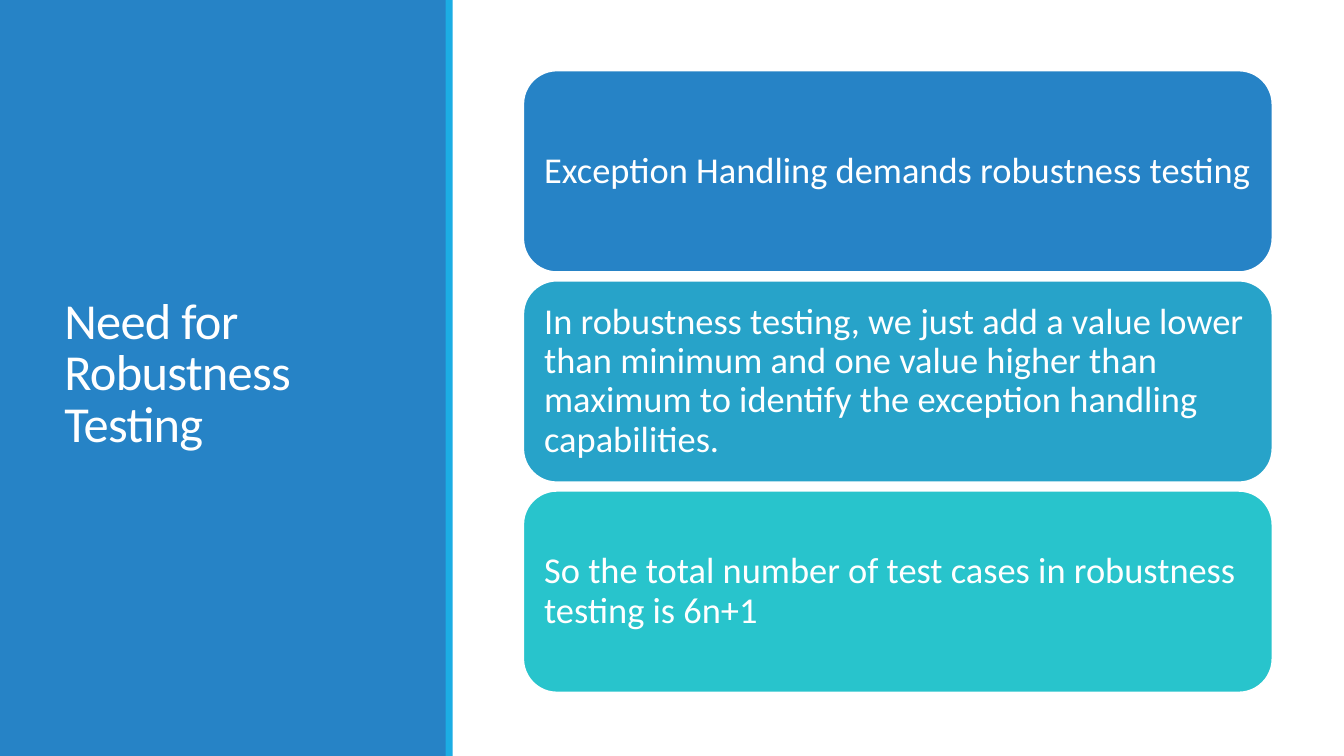
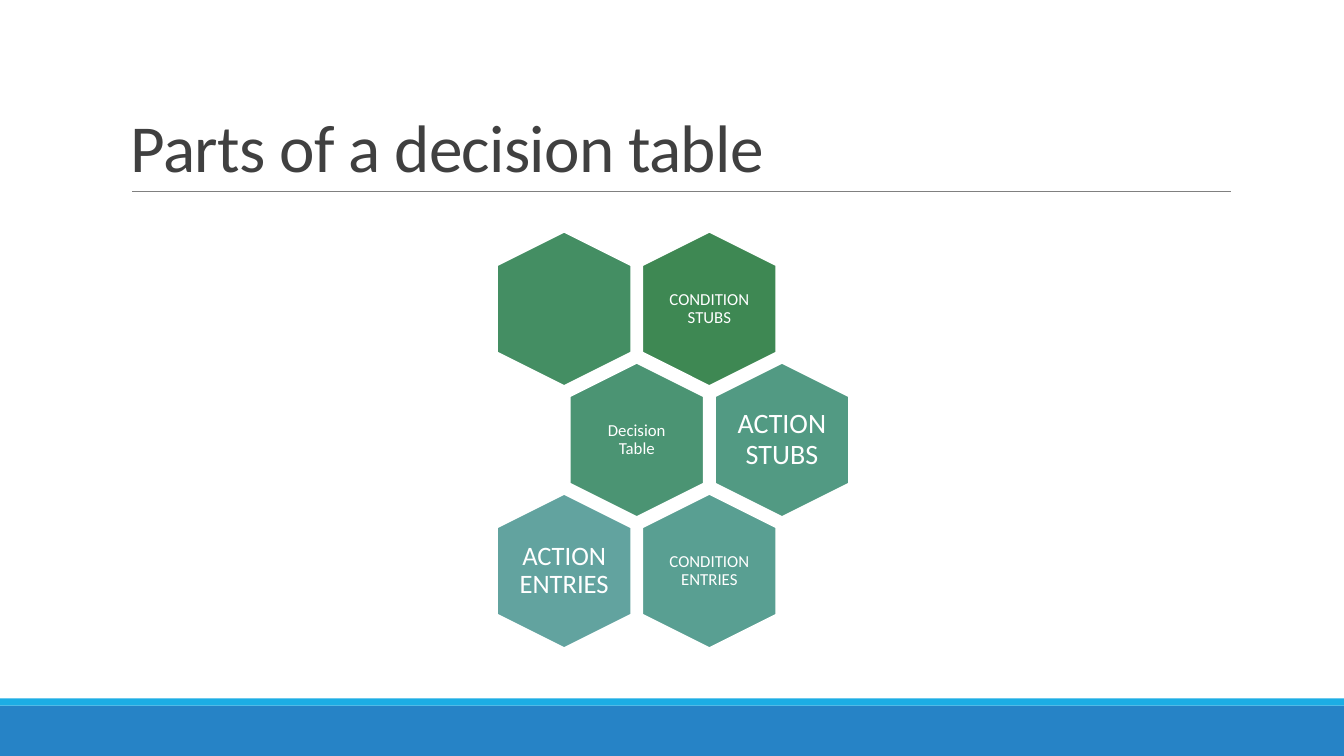
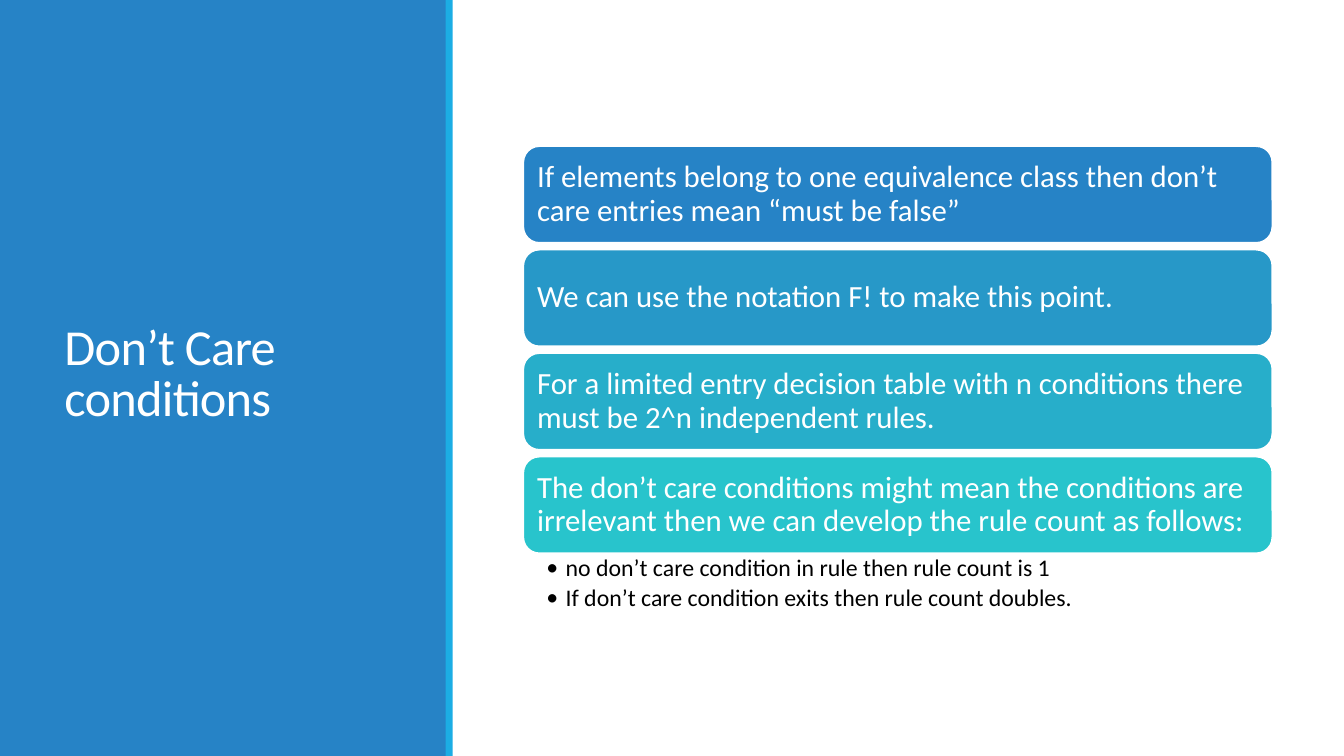
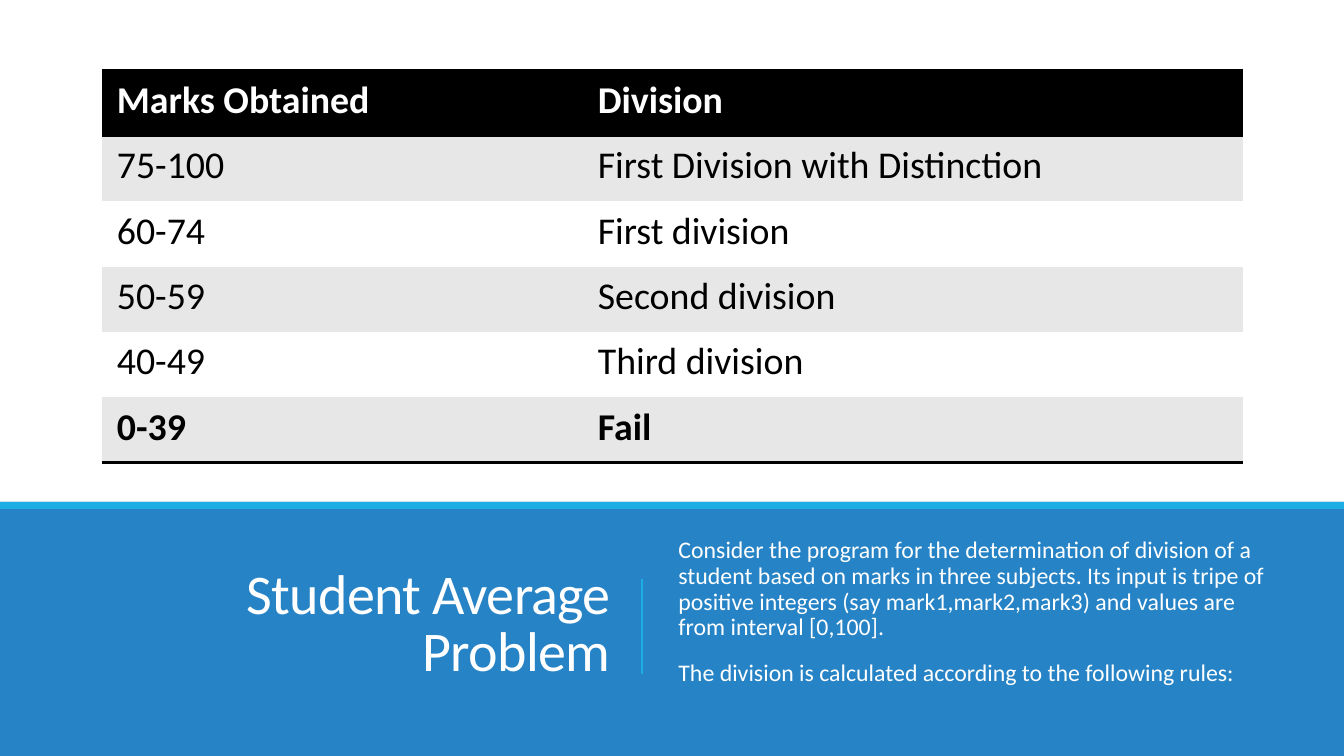
from dataclasses import dataclass

from lxml.etree import SubElement
from pptx import Presentation
from pptx.dml.color import RGBColor
from pptx.enum.shapes import MSO_CONNECTOR, MSO_SHAPE
from pptx.enum.text import MSO_ANCHOR, PP_ALIGN
from pptx.oxml.ns import qn
from pptx.util import Inches, Pt

WIDE, HIGH = 13.33, 7.5
PLAIN = "{2D5ABB26-0587-4C30-8999-92F81FD0307C}"  # table style without grid


@dataclass(frozen=True)
class Theme:
    font: str = "Calibri"
    blue: str = "2683C6"
    cyan: str = "1CADE4"
    white: str = "FFFFFF"
    black: str = "000000"
    dark: str = "404040"
    grey: str = "808080"
    band: str = "E7E7E7"
    three: tuple = ("2683C6", "27A3C9", "28C4CC")
    four: tuple = ("2683C6", "2798C8", "27AECA", "28C4CC")
    comb: tuple = ("3E8853", "448E63", "4B9473", "529A83", "599F92", "62A39F")
    big: int = 48
    mid: int = 40
    side: int = 36
    cell: int = 27
    bar: int = 26
    slim: int = 22
    stub: int = 20
    entry: int = 19
    note: int = 17
    tiny: int = 12


def rgb(code):
    return RGBColor.from_string(code)


class Deck:
    def __init__(self, theme):
        self.theme = theme
        self.file = Presentation()
        self.file.slide_width = Inches(WIDE)
        self.file.slide_height = Inches(HIGH)
        self.slide = None

    def new(self):
        self.slide = self.file.slides.add_slide(self.file.slide_layouts[6])

    def style(self, para, size, color, bold=False, lead=0.9):
        font = para.font
        font.name, font.size, font.bold = self.theme.font, Pt(size), bold
        font.color.rgb = rgb(color)
        para.line_spacing = lead

    def frame(self, item, pads, anchor=MSO_ANCHOR.MIDDLE):
        box = item.text_frame
        box.word_wrap = True
        box.vertical_anchor = anchor
        (box.margin_left, box.margin_top,
         box.margin_right, box.margin_bottom) = map(Inches, pads)
        return box

    def text(self, at, lines, size, color, pads, anchor=MSO_ANCHOR.TOP, lead=0.9):
        item = self.slide.shapes.add_textbox(*map(Inches, at))
        box = self.frame(item, pads, anchor)
        box.text = "\n".join(lines)
        for para in box.paragraphs:
            self.style(para, size, color, lead=lead)
        return box.paragraphs

    def title(self, at, words, size, color, anchor=MSO_ANCHOR.MIDDLE,
              align=PP_ALIGN.LEFT):
        para, = self.text(at, [words], size, color, (0.1, 0.05, 0.1, 0.05),
                          anchor, 0.85)
        para.alignment = align
        para._p.pPr.find(qn("a:defRPr")).set("spc", "-50")

    def shape(self, kind, at, fill, edge=None):
        item = self.slide.shapes.add_shape(kind, *map(Inches, at))
        item.shadow.inherit = False
        item.fill.solid()
        item.fill.fore_color.rgb = rgb(fill)
        if edge:
            item.line.color.rgb = rgb(edge)
            item.line.width = Pt(1.25)
        else:
            item.line.fill.background()
        return item

    def rect(self, at, fill):
        self.shape(MSO_SHAPE.RECTANGLE, at, fill)

    def line(self, ends, color, width):
        item = self.slide.shapes.add_connector(MSO_CONNECTOR.STRAIGHT,
                                               *map(Inches, ends))
        item.line.color.rgb = rgb(color)
        item.line.width = Pt(width)
        SubElement(item._element.spPr, qn("a:effectLst"))

    def panel(self, words):
        """Blue side panel with its title."""
        look = self.theme
        self.rect((0, 0, 4.43, HIGH), look.blue)
        self.title((0.54, 0.57, 3.37, 6.31), words, look.side, look.white)
        self.rect((4.42, 0, 0.07, HIGH), look.cyan)

    def floor(self, top, edge):
        """Blue band along the bottom with a cyan edge."""
        self.rect((0, top, WIDE, HIGH - top), self.theme.blue)
        self.rect((0, edge, WIDE, 0.07), self.theme.cyan)

    def stack(self, top, end, high, pad, size, fills, items):
        """Equal rounded bars spread from top to end."""
        step = (end - top - high) / (len(items) - 1)
        for i, (fill, words) in enumerate(zip(fills, items)):
            bar = self.shape(MSO_SHAPE.ROUNDED_RECTANGLE,
                             (5.19, top + i * step, 7.43, high),
                             fill, self.theme.white)
            box = self.frame(bar, (pad,) * 4)
            box.text = words
            para = box.paragraphs[0]
            para.alignment = PP_ALIGN.LEFT
            self.style(para, size, self.theme.white)

    def hexa(self, row, col, fill, words, size):
        """One cell of the honeycomb; odd rows move half a step right."""
        left = 4.83 + 1.44 * (col + row % 2 / 2)
        item = self.shape(MSO_SHAPE.HEXAGON, (left, 2.4 + 1.3 * row, 1.53, 1.33),
                          fill, self.theme.white)
        item.rotation = 90
        item.adjustments[0] = 0.25
        if words:
            pad = 0.03 if size == self.theme.tiny else 0
            box = self.frame(item, (pad,) * 4)
            box._txBody.bodyPr.set("vert", "vert270")  # keeps text upright
            box.text = words
            box.paragraphs[0].alignment = PP_ALIGN.CENTER
            self.style(box.paragraphs[0], size, self.theme.white)

    def bullet(self, para):
        prop = para._p.get_or_add_pPr()
        prop.set("marL", str(Inches(0.19)))
        prop.set("indent", str(-Inches(0.19)))
        last = prop.find(qn("a:defRPr"))
        for tag, key, value in (("a:buFont", "typeface", self.theme.font),
                                ("a:buChar", "char", "•")):
            last.addprevious(prop.makeelement(qn(tag), {key: value}))

    def rule(self, cell, side):
        """Black border; borders go before the fill of the cell."""
        prop = cell._tc.get_or_add_tcPr()
        edge = prop.makeelement(qn("a:" + side), {"w": str(Pt(2))})
        fill = SubElement(edge, qn("a:solidFill"))
        SubElement(fill, qn("a:srgbClr")).set("val", self.theme.black)
        prop.find(qn("a:solidFill")).addprevious(edge)

    def table(self, at, wide, rows):
        look = self.theme
        grid = self.slide.shapes.add_table(len(rows), len(wide),
                                           *map(Inches, at)).table
        grid._tbl.tblPr.find(qn("a:tableStyleId")).text = PLAIN
        for col, width in zip(grid.columns, wide):
            col.width = Inches(width)
        last = len(rows) - 1
        for r, row in enumerate(rows):
            fill = look.band if r % 2 else look.white
            if r == 0:
                fill = look.black
            for c, words in enumerate(row):
                cell = grid.cell(r, c)
                cell.text = words
                cell.margin_left = cell.margin_right = Inches(0.15)
                cell.margin_top = cell.margin_bottom = Inches(0.07)
                cell.fill.solid()
                cell.fill.fore_color.rgb = rgb(fill)
                self.style(cell.text_frame.paragraphs[0], look.cell,
                           look.white if r == 0 else look.black,
                           r in (0, last), 1.0)
                if r == 0:
                    self.rule(cell, "lnT")
                if r in (0, last):
                    self.rule(cell, "lnB")


def main():
    look = Theme()
    deck = Deck(look)

    # Robustness testing
    deck.new()
    deck.panel("Need for Robustness Testing")
    deck.stack(0.7, 6.87, 2, 0.11, look.bar, look.three, [
        "Exception Handling demands robustness testing",
        "In robustness testing, we just add a value lower than minimum and one "
        "value higher than maximum to identify the exception handling capabilities.",
        "So the total number of test cases in robustness testing is 6n+1",
    ])

    # Decision table parts
    deck.new()
    deck.floor(7, 6.93)
    deck.line((1.31, 1.9, 12.21, 1.9), look.grey, 0.5)
    deck.title((1.2, 0.31, 11, 1.59), "Parts of a decision table", look.big,
               look.dark, MSO_ANCHOR.BOTTOM)
    for fill, (row, col, words, size) in zip(look.comb, (
        (0, 1, "CONDITION STUBS", look.tiny),
        (0, 0, "", look.tiny),
        (1, 0, "Decision Table", look.tiny),
        (1, 1, "ACTION STUBS", look.stub),
        (2, 1, "CONDITION ENTRIES", look.tiny),
        (2, 0, "ACTION ENTRIES", look.entry),
    )):
        deck.hexa(row, col, fill, words, size)

    # Don't care conditions
    deck.new()
    deck.panel("Don’t Care conditions")
    deck.stack(1.45, 5.49, 0.96, 0.09, look.slim, look.four, [
        "If elements belong to one equivalence class then don’t care entries "
        "mean “must be false”",
        "We can use the notation F! to make this point.",
        "For a limited entry decision table with n conditions there must be 2^n "
        "independent rules.",
        "The don’t care conditions might mean the conditions are irrelevant then "
        "we can develop the rule count as follows:",
    ])
    for para in deck.text((5.18, 5.49, 7.43, 0.65), [
        "no don’t care condition in rule then rule count is 1",
        "If don’t care condition exits then rule count doubles.",
    ], look.note, look.black, (0.24, 0.03, 0.17, 0.03)):
        para.space_after = Pt(3)
        deck.bullet(para)

    # Student average problem
    deck.new()
    deck.floor(4.98, 4.98)
    deck.title((0.69, 5.36, 5.46, 1.7), "Student Average Problem", look.mid,
               look.white, align=PP_ALIGN.RIGHT)
    deck.line((6.37, 5.74, 6.37, 6.69), look.cyan, 1.25)
    rules = deck.text((6.63, 5.34, 6.01, 1.7), [
        "Consider the program for the determination of division of a student "
        "based on marks in three subjects. Its input is tripe of positive "
        "integers (say mark1,mark2,mark3) and values are from interval [0,100].",
        "The division is calculated according to the following rules:",
    ], look.note, look.white, (0.1, 0, 0, 0))
    rules[1].space_before = Pt(14)
    deck.table((1.01, 0.7, 11.32, 3.89), (4.77, 6.55), [
        ("Marks Obtained", "Division"),
        ("75-100", "First Division with Distinction"),
        ("60-74", "First division"),
        ("50-59", "Second division"),
        ("40-49", "Third division"),
        ("0-39", "Fail"),
    ])

    deck.file.save("out.pptx")


if __name__ == "__main__":
    main()
